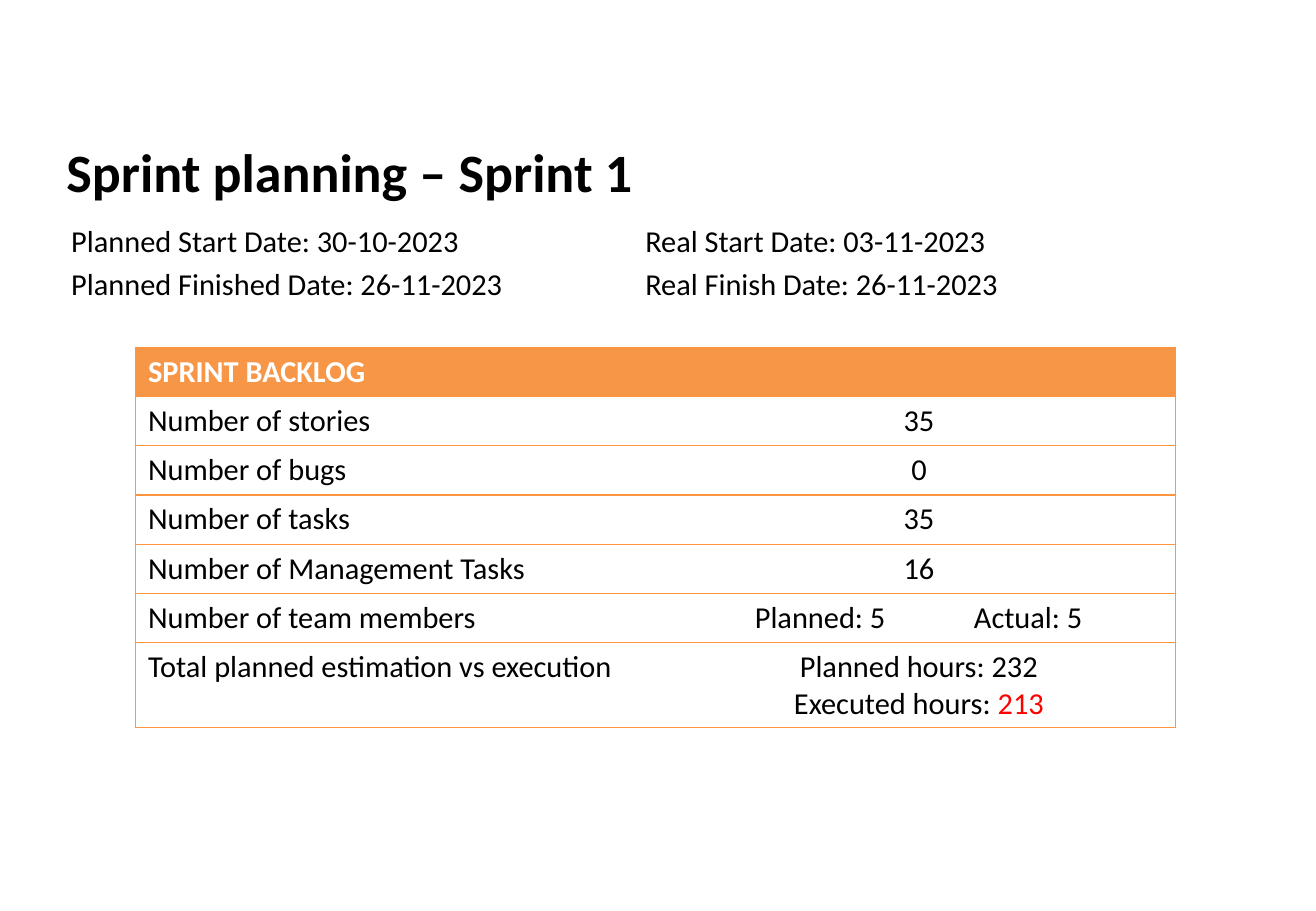
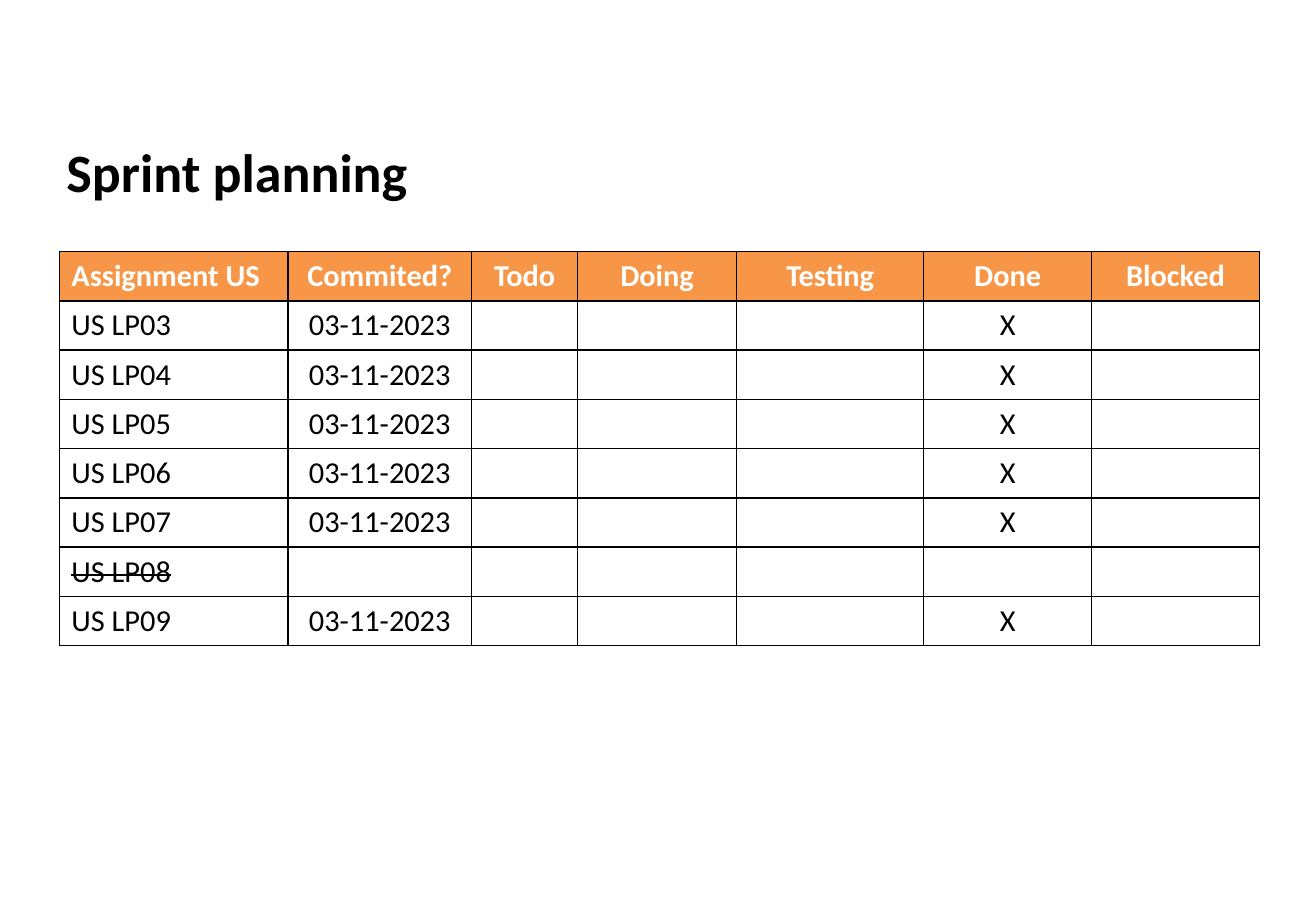
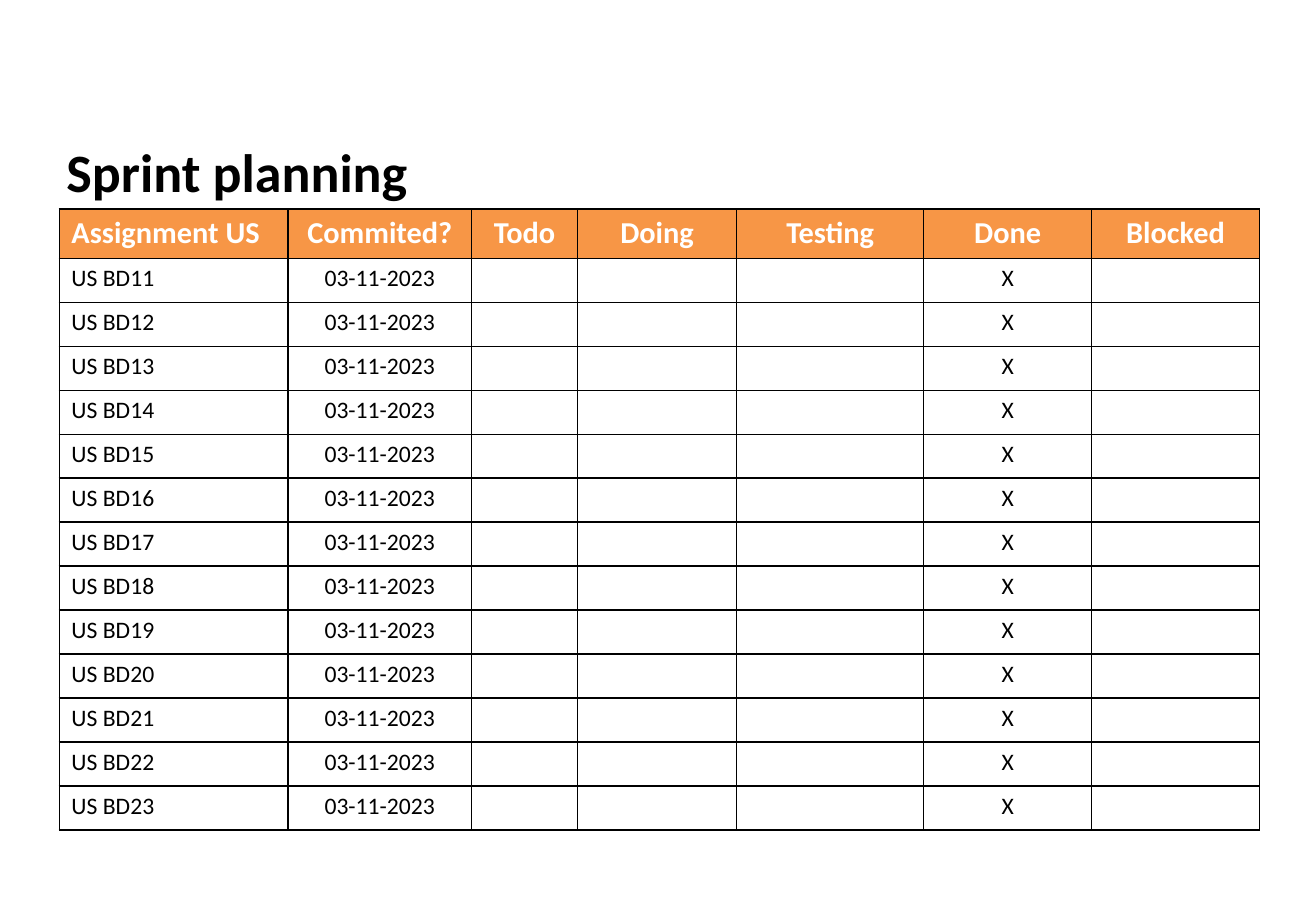
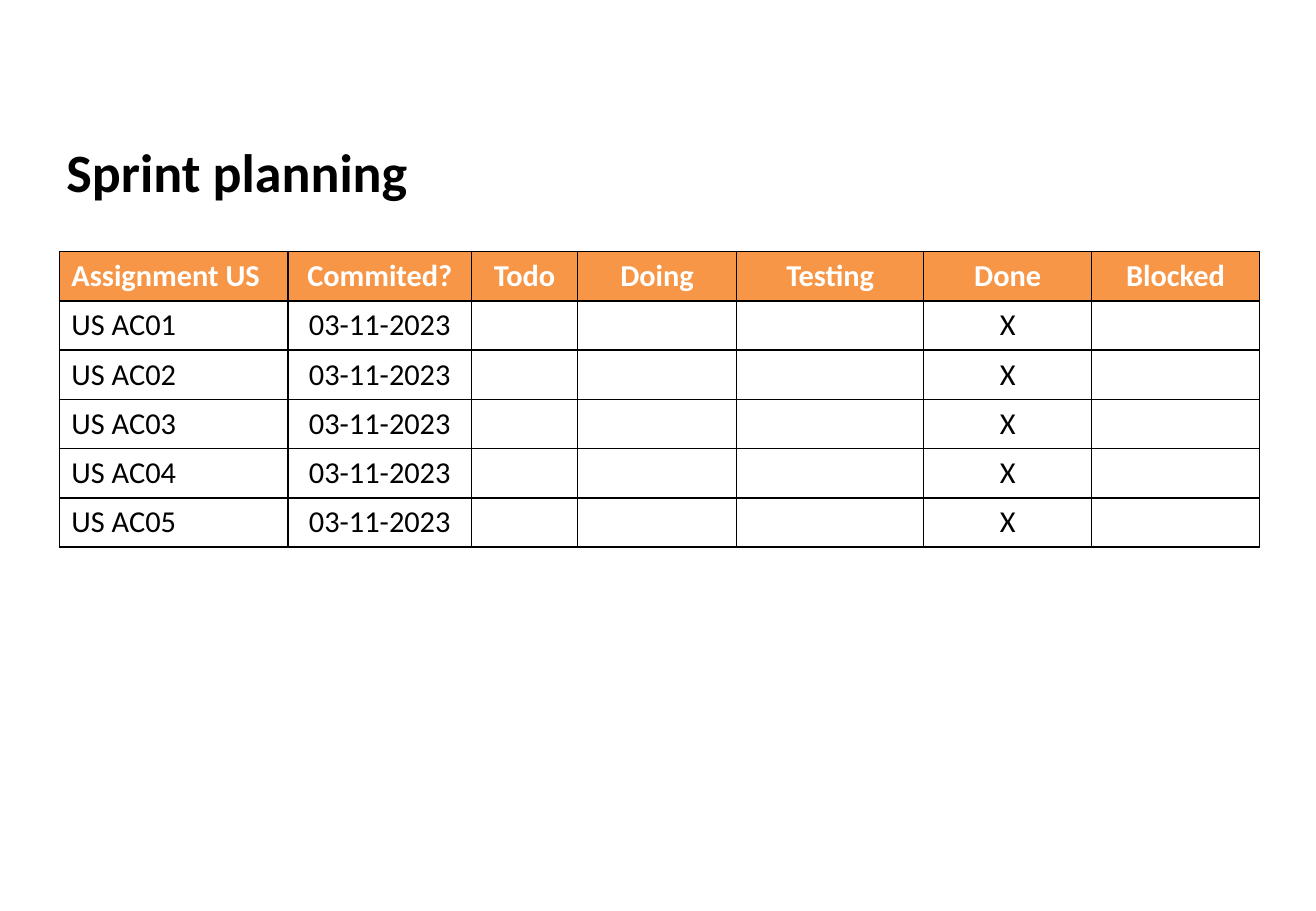
from lxml.etree import SubElement
from pptx import Presentation
from pptx.dml.color import RGBColor
from pptx.enum.text import MSO_ANCHOR, PP_ALIGN as Align
from pptx.oxml.ns import qn
from pptx.util import Cm, Pt

COLORS = {"text": "000000", "header_text": "FFFFFF", "header": "F79646",
          "rule": "FF953E", "grid": "000000", "alert": "FF0000"}
FONT = "Calibri"
BODY_SIZE = 18
ROW_HEIGHT = 1.03
COMMITTED = "03-11-2023"

# Sprint board columns: heading and width in cm
BOARD_COLUMNS = [("Assignment US", 4.78), ("Commited?", 3.84), ("Todo", 2.21),
                 ("Doing", 3.33), ("Testing", 3.91), ("Done", 3.51),
                 ("Blocked", 3.51)]


# Text helpers
def style_para(para, size=BODY_SIZE, color="text", bold=False):
    para.font.name = FONT
    para.font.size = Pt(size)
    para.font.bold = bold
    para.font.color.rgb = RGBColor.from_string(COLORS[color])


def add_tab_stop(para, position):
    tabs = SubElement(para._p.get_or_add_pPr(), qn("a:tabLst"))
    SubElement(tabs, qn("a:tab"), pos=str(Cm(position)), algn="l")


def add_text_box(page, left, top, width, height):
    frame = page.shapes.add_textbox(Cm(left), Cm(top), Cm(width),
                                    Cm(height)).text_frame
    frame.word_wrap = True
    return frame


def add_page(deck, title):
    page = deck.slides.add_slide(deck.slide_layouts[6])
    frame = add_text_box(page, 1.14, 2.77, 25.6, 1.6)
    frame.vertical_anchor = MSO_ANCHOR.MIDDLE
    frame.text = title
    style_para(frame.paragraphs[0], 32, bold=True)
    return page


# Table helpers
def set_borders(cell, color, width, sides):
    properties = cell._tc.get_or_add_tcPr()
    for side in "LRTB":
        line = SubElement(properties, qn(f"a:ln{side}"), w=str(Pt(width)))
        if side in sides:
            fill = SubElement(line, qn("a:solidFill"))
            SubElement(fill, qn("a:srgbClr"), val=COLORS[color])
        else:
            SubElement(line, qn("a:noFill"))


def fill_cell(cell, text, size, is_header, centered):
    cell.text = text
    for para in cell.text_frame.paragraphs:
        if centered:
            para.alignment = Align.CENTER
        style_para(para, size, "header_text" if is_header else "text", is_header)
        if not text:
            SubElement(para._p, qn("a:endParaRPr"), sz=str(size * 100))
    if is_header:
        cell.fill.solid()
        cell.fill.fore_color.rgb = RGBColor.from_string(COLORS["header"])
    else:
        cell.fill.background()


def add_grid(page, left, top, widths, rows, border, size=BODY_SIZE,
             row_height=ROW_HEIGHT):
    """Draw a table; border(column) gives line colour, width and sides."""
    table = page.shapes.add_table(
        len(rows), len(widths), Cm(left), Cm(top), Cm(sum(widths)),
        Cm(ROW_HEIGHT + row_height * (len(rows) - 1))).table
    table.horz_banding = False
    for column, width in zip(table.columns, widths):
        column.width = Cm(width)
    for r, texts in enumerate(rows):
        is_header = r == 0
        table.rows[r].height = Cm(ROW_HEIGHT if is_header else row_height)
        for c, text in enumerate(texts):
            cell = table.cell(r, c)
            set_borders(cell, *border(c))
            fill_cell(cell, text, BODY_SIZE if is_header else size,
                      is_header, centered=c > 0)
    return table


# Pages
def add_dates(page):
    frame = add_text_box(page, 1.24, 4.52, 25.12, 1.98)
    frame.text = ("Planned Start Date: 30-10-2023\tReal Start Date: 03-11-2023\n"
                  "Planned Finished Date: 26-11-2023\tReal Finish Date: 26-11-2023")
    for para in frame.paragraphs:
        add_tab_stop(para, 12)
        para.space_after = Pt(4)
        style_para(para)


def add_backlog(page):
    rows = [("SPRINT BACKLOG", ""),
            ("Number of stories", "35"),
            ("Number of bugs", "0"),
            ("Number of tasks", "35"),
            ("Number of Management Tasks", "16"),
            ("Number of team members", ""),
            ("Total planned estimation vs execution",
             "Planned hours: 232\nExecuted hours: ")]
    table = add_grid(page, 2.84, 7.26, [11, 10.74], rows,
                     lambda c: ("rule", 0.75, "RTB" if c else "LTB"))

    # Team size: two entries set apart by a tab stop
    team = table.cell(5, 1)
    team.margin_left = Cm(1.94)
    para = team.text_frame.paragraphs[0]
    para.clear()
    for end_mark in para._p.findall(qn("a:endParaRPr")):
        para._p.remove(end_mark)
    para._p.remove(para._p.pPr)
    add_tab_stop(para, 4.58)
    para.add_run().text = "Planned: 5\tActual: 5"
    style_para(para)

    # Executed hours stand out
    span = table.cell(6, 1).text_frame.paragraphs[-1].add_run()
    span.text = "213"
    span.font.color.rgb = RGBColor.from_string(COLORS["alert"])


def add_board(deck, prefix, numbers, dropped=(), top=5.26, **sizes):
    page = add_page(deck, "Sprint planning")
    headings, widths = zip(*BOARD_COLUMNS)
    rows = [headings]
    for number in numbers:
        date, done = ("", "") if number in dropped else (COMMITTED, "X")
        rows.append((f"US {prefix}{number:02}", date, "", "", "", done, ""))
    table = add_grid(page, 1.24, top, widths, rows,
                     lambda c: ("grid", 1, "LRTB"), **sizes)
    for r, number in enumerate(numbers, start=1):
        if number in dropped:
            span = table.cell(r, 0).text_frame.paragraphs[0].runs[0]
            span._r.get_or_add_rPr().set("strike", "sngStrike")


def main():
    deck = Presentation()
    deck.slide_width, deck.slide_height = Cm(27.51), Cm(19.05)

    page = add_page(deck, "Sprint planning – Sprint 1")
    add_backlog(page)
    add_dates(page)

    add_board(deck, "LP", range(3, 10), dropped=(8,))
    add_board(deck, "BD", range(11, 24), top=4.37, size=14, row_height=0.92)
    add_board(deck, "AC", range(1, 6))
    deck.save("out.pptx")


if __name__ == "__main__":
    main()
